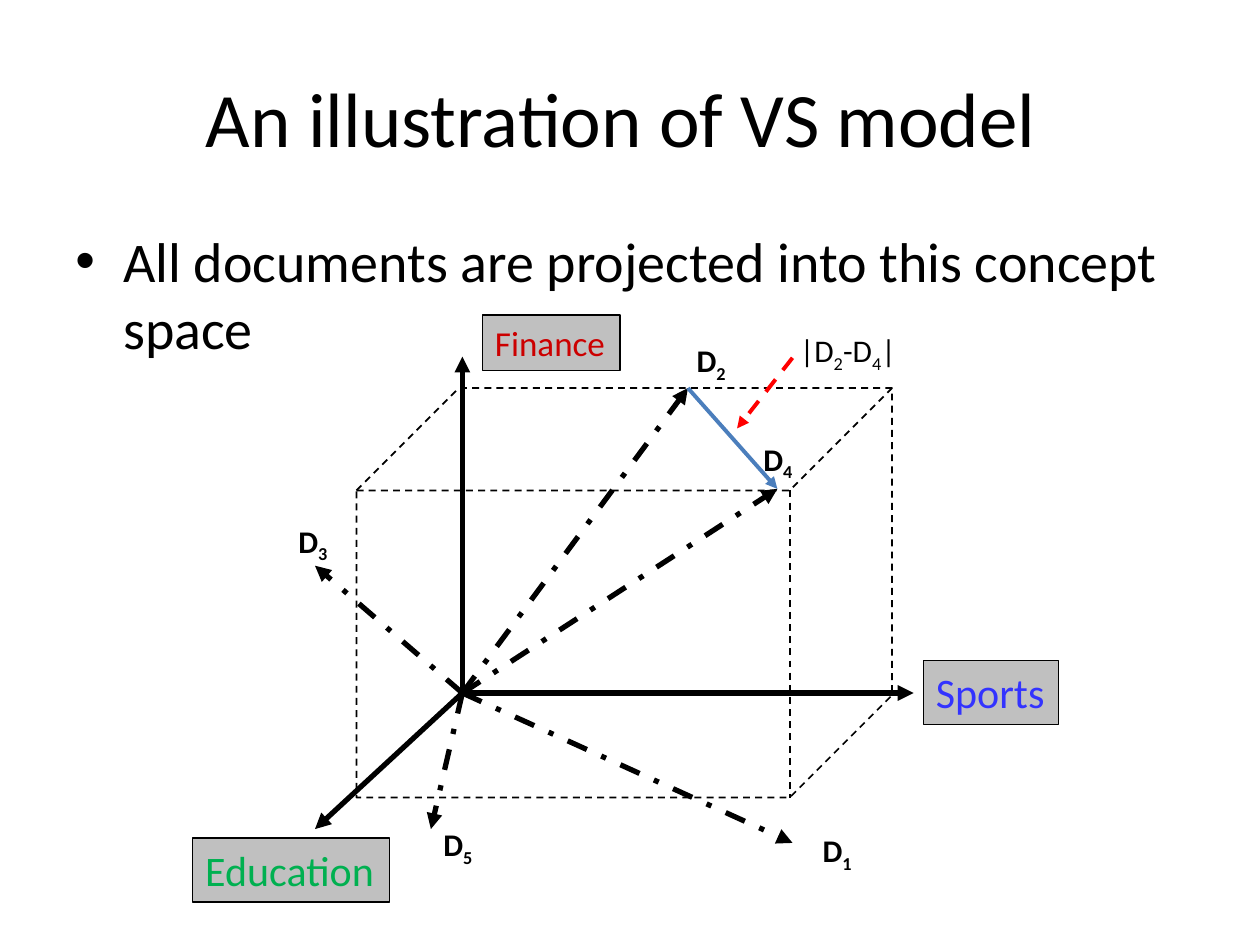
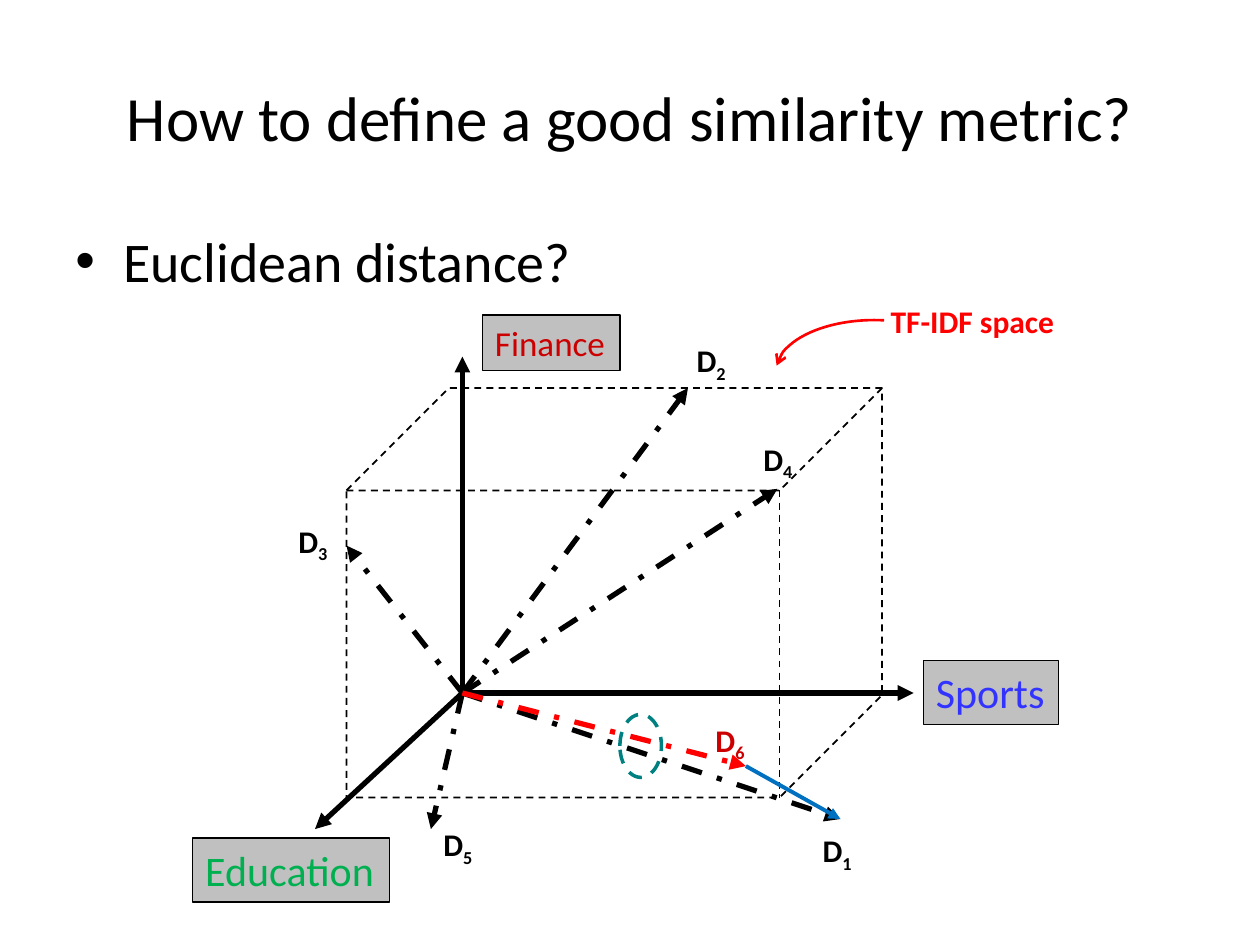
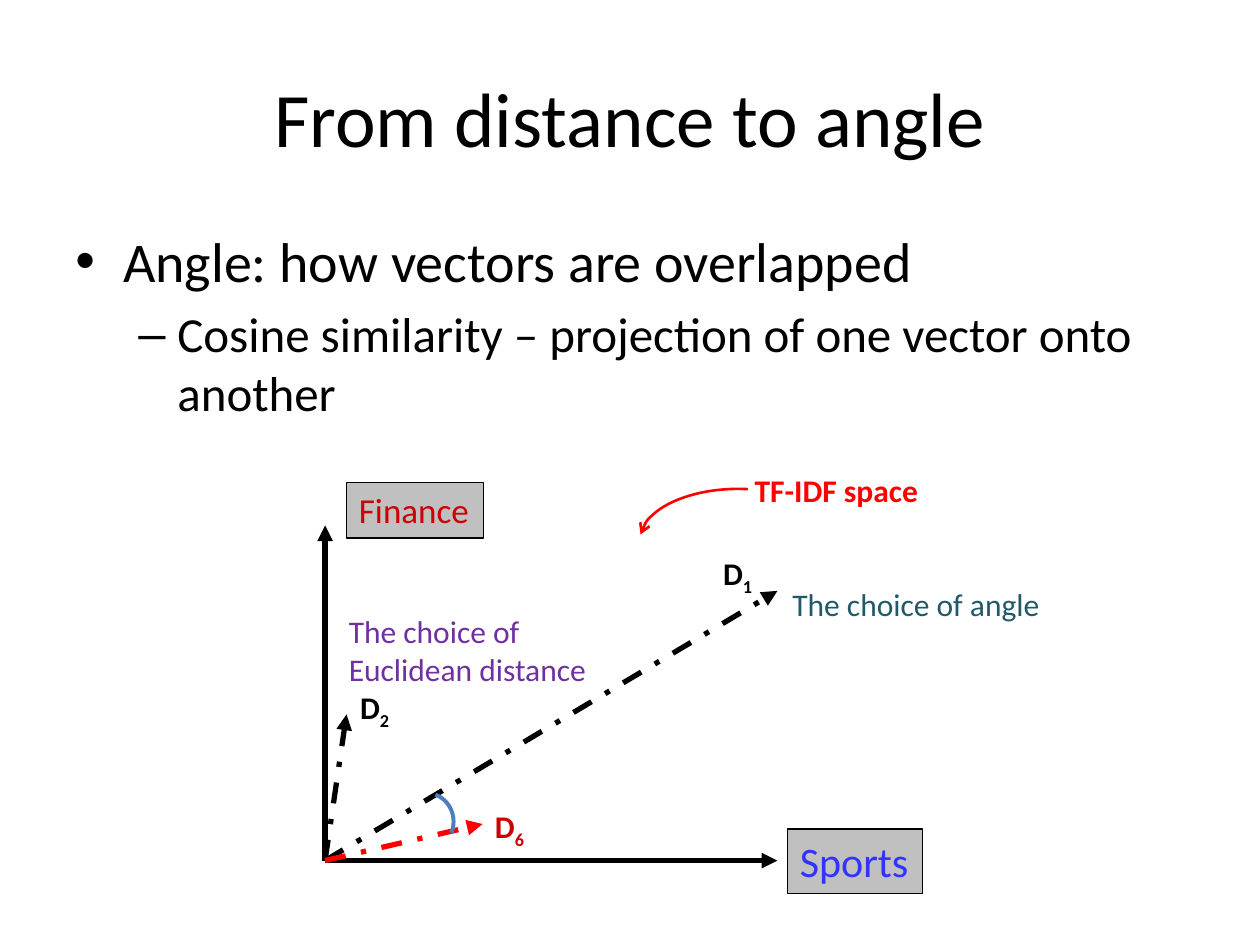
"""Build three slides on the vector space model, from distance to angle."""
import pptx
import pptx.util
import pptx.dml.color
import pptx.enum.dml
import pptx.enum.shapes
import pptx.enum.text
import pptx.oxml
import pptx.oxml.ns
import lxml.etree

Inches, Pt = pptx.util.Inches, pptx.util.Pt
Shapes = pptx.enum.shapes.MSO_SHAPE
Dash = pptx.enum.dml.MSO_LINE
Anchor, Align = pptx.enum.text.MSO_ANCHOR, pptx.enum.text.PP_ALIGN
AutoSize = pptx.enum.text.MSO_AUTO_SIZE

FONT = "Calibri"
BLACK, GREY, RED, DARK_RED, BLUE = "000000", "C0C0C0", "FF0000", "CC0000", "4B7EBC"
SPORTS = ("Sports", 1.07, 0.51, 24, "3333FF")
EDUCATION = ("Education", 1.56, 0.51, 24, "00B050")
FINANCE = ("Finance", 1.09, 0.44, 20, DARK_RED)
LEVELS = [(32, 0.38, 0.38, "•"), (28, 0.81, 0.31, "–")]
SPACE_ORIGIN, PLANE_ORIGIN = (3.67, 5.5), (2.58, 6.83)
SPACE_AXES = [(2.5, 6.58), (7.25, 5.5), (3.67, 2.83)]
SPACE_TAGS = [(SPORTS, 7.33, 5.24), (EDUCATION, 1.53, 6.65), (FINANCE, 3.83, 2.5)]
SPACE_LABELS = [("D_4", 5.96, 3.44, BLACK), ("D_2", 5.43, 2.66, BLACK), ("D_1", 6.43, 6.55, BLACK),
                ("D_5", 3.42, 6.5, BLACK), ("D_3", 2.27, 4.09, BLACK)]
SPACE_TIPS = [((6.17, 3.88), BLACK), ((3.42, 6.58), BLACK), ((5.46, 3.08), BLACK)]

SLIDES = [
    {"title": "An illustration of VS model ", "title_size": 44,
     "body": [("All documents are projected into this concept space", 0)],
     "cube_left": 2.83, "origin": SPACE_ORIGIN, "axes": SPACE_AXES, "tags": SPACE_TAGS,
     "vectors": SPACE_TIPS + [((6.29, 6.69), BLACK), ((2.5, 4.49), BLACK)],
     "labels": SPACE_LABELS,
     "arrows": [((5.46, 3.08), (6.17, 3.88), BLUE, None), ((6.29, 2.84), (5.85, 3.4), RED, Dash.DASH)],
     "notes": [("|D_2-D_4|", (6.25, 2.58, 1, 0.4), BLACK)]},
    {"title": "How to define a good similarity metric?", "title_size": 36,
     "body": [("Euclidean distance?", 0)],
     "cube_left": 2.75, "origin": SPACE_ORIGIN, "axes": SPACE_AXES, "tags": SPACE_TAGS,
     "vectors": SPACE_TIPS + [((6.67, 6.5), BLACK), ((2.75, 4.33), BLACK), ((5.92, 6.08), RED)],
     "labels": SPACE_LABELS + [("D_6", 5.58, 5.67, DARK_RED)],
     "arrows": [((5.92, 6.08), (6.67, 6.5), "0070C0", None)],
     "ring": (4.92, 5.67, 0.33, 0.5), "callout": (6.16, 2.35)},
    {"title": "From distance to angle", "title_size": 44,
     "body": [("Angle: how vectors are overlapped", 0),
              ("Cosine similarity – projection of one vector onto another", 1)],
     "origin": PLANE_ORIGIN, "axes": [(6.17, 6.83), (2.58, 4.17)],
     "tags": [(SPORTS, 6.25, 6.58), (FINANCE, 2.75, 3.83)],
     "vectors": [((6.17, 4.69), BLACK), ((2.75, 5.67), BLACK), ((3.83, 6.54), RED)],
     "labels": [("D_1", 5.64, 4.35, BLACK), ("D_2", 2.76, 5.41, BLACK), ("D_6", 3.83, 6.36, DARK_RED)],
     "callout": (5.08, 3.69), "angle": (3.14, 6.29, 0.46, 0.47),
     "notes": [("The choice of angle", (6.19, 4.59, 2.44, 0.4), "215968"),
               ("The choice of Euclidean distance", (2.67, 4.81, 2.44, 0.71), "7030A0")]},
]


def rgb(value):
    return pptx.dml.color.RGBColor.from_string(value)


def add_xml(parent, tag, **attributes):
    return lxml.etree.SubElement(parent, pptx.oxml.ns.qn("a:" + tag), **attributes)


def write(para, text, size=18, color=BLACK, bold=False, align=Align.LEFT):
    para.alignment = align
    first, *rest = text.split("_")
    pieces = [(first, False)]
    for part in rest:
        pieces += [(part[0], True), (part[1:], False)]
    for piece, lowered in pieces:
        if piece:
            span = para.add_run()
            span.text = piece
            span.font.name, span.font.size, span.font.bold = FONT, Pt(size), bold
            span.font.color.rgb = rgb(color)
            if lowered:
                span.font._element.set("baseline", "-25000")


def add_text(page, area, text, wrap=True, anchor=Anchor.TOP, grow=True, **style):
    box = page.shapes.add_textbox(*map(Inches, area))
    frame = box.text_frame
    frame.word_wrap, frame.vertical_anchor = wrap, anchor
    frame.auto_size = AutoSize.SHAPE_TO_FIT_TEXT if grow else AutoSize.NONE
    write(frame.paragraphs[0], text, **style)


def add_body(page, items):
    frame = page.shapes.add_textbox(*map(Inches, (0.5, 1.75, 9, 4.95))).text_frame
    frame.word_wrap = True
    for number, (text, level) in enumerate(items):
        size, margin, hang, bullet = LEVELS[level]
        para = frame.add_paragraph() if number else frame.paragraphs[0]
        write(para, text, size=size)
        para.level = level
        props = para._p.get_or_add_pPr()
        props.set("marL", str(Inches(margin)))
        props.set("indent", str(-Inches(hang)))
        add_xml(add_xml(props, "spcBef"), "spcPct", val="20000")
        add_xml(props, "buFont", typeface="Arial")
        add_xml(props, "buChar", char=bullet)


def style_line(line, color, width, dash=None):
    line.color.rgb, line.width = rgb(color), Pt(width)
    if dash:
        line.dash_style = dash


def add_shape(page, kind, area, color, width, dash=None, fill=None):
    shape = page.shapes.add_shape(kind, *map(Inches, area))
    shape.shadow.inherit = False
    if fill:
        shape.fill.solid()
        shape.fill.fore_color.rgb = rgb(fill)
    else:
        shape.fill.background()
    style_line(shape.line, color, width, dash)
    return shape


def add_arrow(page, start, end, color=BLACK, width=3, dash=None):
    arrow = page.shapes.add_connector(pptx.enum.shapes.MSO_CONNECTOR.STRAIGHT, *map(Inches, start + end))
    style_line(arrow.line, color, width, dash)
    add_xml(arrow.line._get_or_add_ln(), "tailEnd", type="triangle")
    add_xml(arrow._element.spPr, "effectLst")


def add_tag(page, tag, left, top):
    text, width, height, size, color = tag
    frame = add_shape(page, Shapes.RECTANGLE, (left, top, width, height), BLACK, 0.75, fill=GREY).text_frame
    frame.word_wrap, frame.vertical_anchor = False, Anchor.TOP
    frame.auto_size = AutoSize.SHAPE_TO_FIT_TEXT
    write(frame.paragraphs[0], text, size=size, color=color)


def add_callout(page, left, top):
    add_text(page, (left + 0.81, top, 2.17, 0.4), "TF-IDF space", color=RED, bold=True)
    arc = add_shape(page, Shapes.ARC, (left, top + 0.19, 1.56, 0.81), RED, 1.5)
    arc.adjustments[0], arc.adjustments[1] = 109.908, 168.483
    add_xml(arc.line._get_or_add_ln(), "headEnd", type="arrow")


def add_page(deck, scene):
    page = deck.slides.add_slide(deck.slide_layouts[6])
    add_text(page, (0.5, 0.3, 9, 1.25), scene["title"], anchor=Anchor.MIDDLE, grow=False,
             size=scene["title_size"], align=Align.CENTER)
    add_body(page, scene["body"])
    if "cube_left" in scene:
        add_shape(page, Shapes.CUBE, (scene["cube_left"], 3.08, 4.25, 3.25), BLACK, 1, Dash.DASH)
    for tip in scene["axes"]:
        add_arrow(page, scene["origin"], tip)
    for tag in scene["tags"]:
        add_tag(page, *tag)
    for tip, color in scene["vectors"]:
        add_arrow(page, scene["origin"], tip, color, dash=Dash.DASH_DOT)
    for text, left, top, color in scene["labels"]:
        add_text(page, (left, top, 0.46, 0.4), text, wrap=False, color=color, bold=True)
    if "ring" in scene:
        add_shape(page, Shapes.OVAL, scene["ring"], "008080", 2, Dash.DASH)
    if "callout" in scene:
        add_callout(page, *scene["callout"])
    if "angle" in scene:
        add_shape(page, Shapes.ARC, scene["angle"], BLUE, 2.25).rotation = 21.7
    for start, end, color, dash in scene.get("arrows", []):
        add_arrow(page, start, end, color, 2.25, dash)
    for text, area, color in scene.get("notes", []):
        add_text(page, area, text, color=color)


deck = pptx.Presentation()
deck.slide_width, deck.slide_height = Inches(10), Inches(7.5)
for scene in SLIDES:
    add_page(deck, scene)
deck.save("out.pptx")
